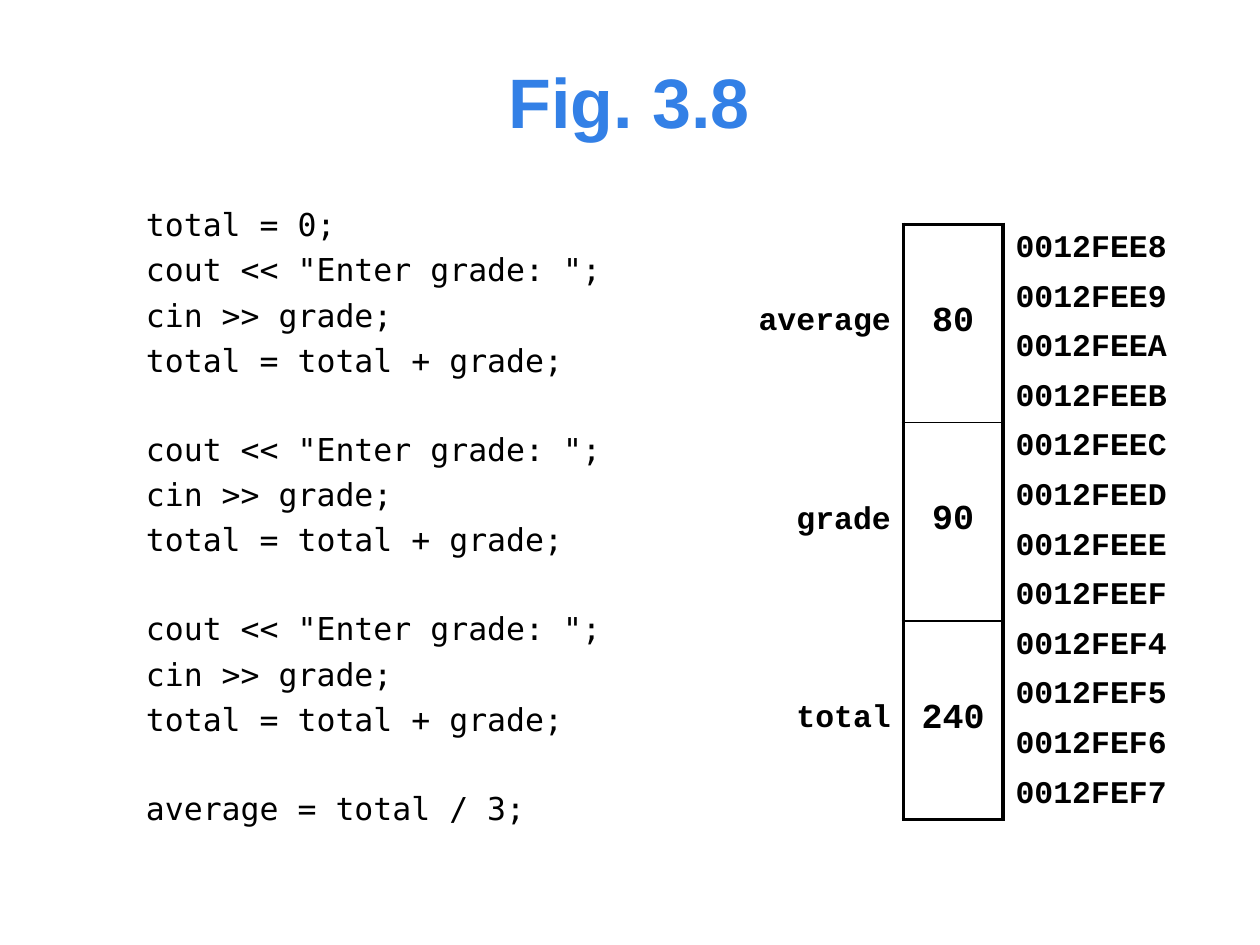
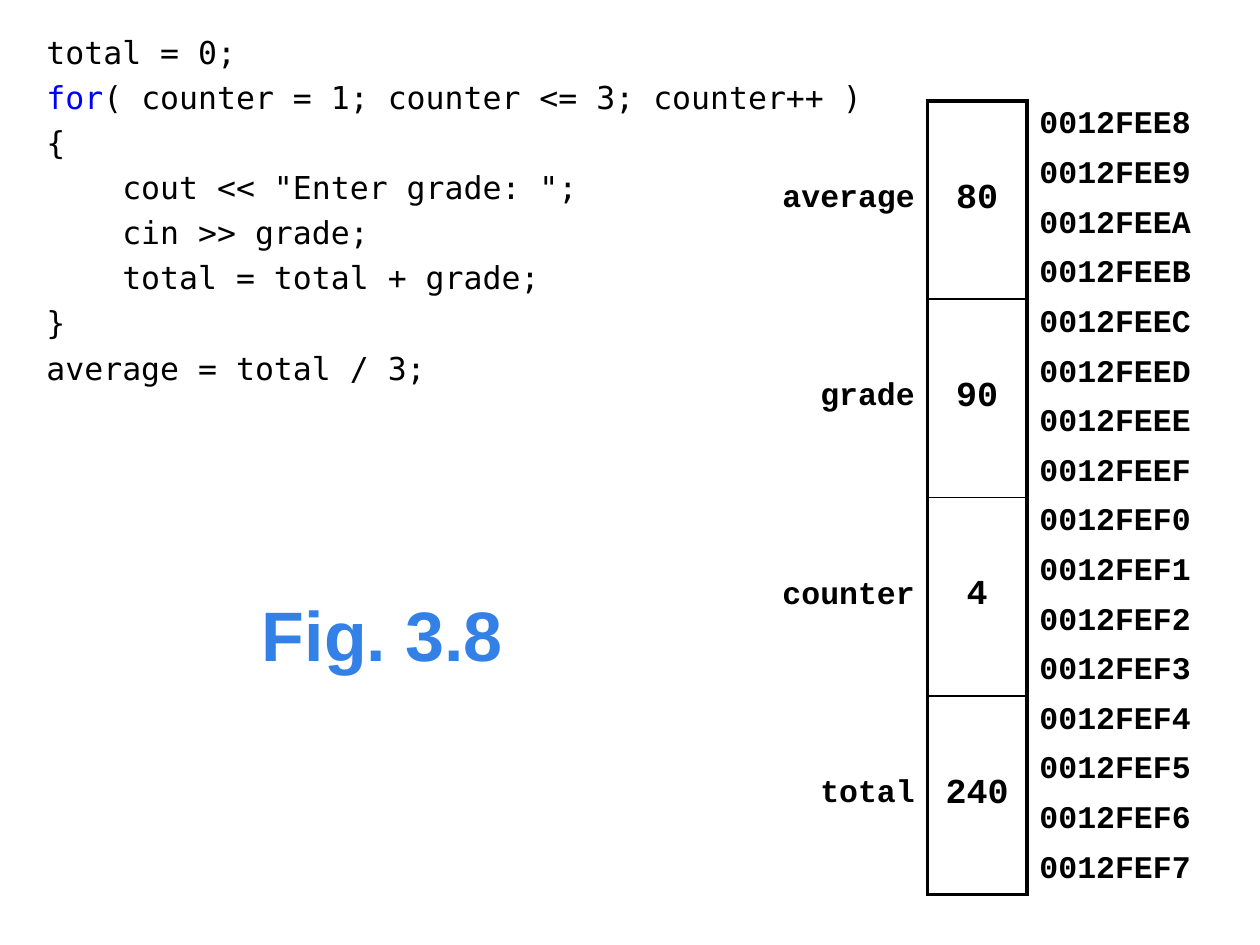
from lxml import etree
from pptx import Presentation
from pptx.dml.color import RGBColor
from pptx.enum.text import MSO_ANCHOR, PP_ALIGN
from pptx.oxml.ns import qn
from pptx.util import Inches, Pt

LEFT, CENTER, RIGHT = PP_ALIGN.LEFT, PP_ALIGN.CENTER, PP_ALIGN.RIGHT
MIDDLE = MSO_ANCHOR.MIDDLE

TITLE_BLUE = RGBColor(0x33, 0x80, 0xE6)
KEYWORD_BLUE = RGBColor(0x00, 0x00, 0xFF)
BLACK = RGBColor(0x00, 0x00, 0x00)

TITLE_FONT, CODE_FONT, MEMORY_FONT = "Arial", "DejaVu Sans Mono", "Courier New"
THICK, THIN, NONE = 2.25, 1, 0
BYTES_PER_VARIABLE = 4
ROW_HEIGHT = Inches(6.3) // 16
COLUMN_WIDTHS = (1.38, 0.79, 1.57)
LINE_GAP, GROUP_GAP = 4.2, 29.4

AVERAGE = ("average", 80, 0x0012FEE8)
GRADE = ("grade", 90, 0x0012FEEC)
COUNTER = ("counter", 4, 0x0012FEF0)
TOTAL = ("total", 240, 0x0012FEF4)

READ_GRADE = ['cout << "Enter grade: ";', "cin >> grade;", "total = total + grade;"]

SLIDES = [
    {
        "title_box": (0.27, 0.21, 9.45, 1.18),
        "code_box": (1.06, 1.58, 3.94, 5.12),
        "code_groups": [["total = 0;"] + READ_GRADE, READ_GRADE, READ_GRADE,
                        ["average = total / 3;"]],
        "memory_corner": (5.79, 1.78),
        "variables": [AVERAGE, GRADE, TOTAL],
    },
    {
        "title_box": (1.46, 4.54, 3.15, 0.98),
        "code_box": (0.27, 0.21, 6.69, 2.95),
        "code_groups": [["total = 0;", "for( counter = 1; counter <= 3; counter++ )", "{"]
                        + ["    " + line for line in READ_GRADE]
                        + ["}", "average = total / 3;"]],
        "memory_corner": (5.98, 0.8),
        "variables": [AVERAGE, GRADE, COUNTER, TOTAL],
    },
]


def write_text(frame, groups, font, size, color=BLACK, bold=False, align=LEFT, keyword="for("):
    """Write groups of lines, one paragraph a line, with a wider gap between groups."""
    frame.word_wrap = True
    paragraph = None
    for group in groups:
        for number, line in enumerate(group):
            if paragraph is None:
                paragraph = frame.paragraphs[0]
            else:
                paragraph = frame.add_paragraph()
                paragraph.space_before = Pt(LINE_GAP if number else GROUP_GAP)
            paragraph.alignment = align
            parts = [(line, color)]
            if line.startswith(keyword):
                parts = [(line[:3], KEYWORD_BLUE), (line[3:], color)]
            for text, part_color in parts:
                run = paragraph.add_run()
                run.text = text
                run.font.name = font
                run.font.size = Pt(size)
                run.font.bold = bold
                run.font.color.rgb = part_color


def format_cell(cell, margins, borders):
    """Set margins (sides, top, bottom) and border widths (left, right, top, bottom)."""
    side, top, bottom = margins
    cell.margin_left = cell.margin_right = Inches(side)
    cell.margin_top, cell.margin_bottom = Inches(top), Inches(bottom)
    cell.vertical_anchor = MIDDLE
    properties = cell._tc.get_or_add_tcPr()
    for tag, width in zip(("a:lnL", "a:lnR", "a:lnT", "a:lnB"), borders):
        line = etree.SubElement(properties, qn(tag), w=str(Pt(width)))
        if width:
            fill = etree.SubElement(line, qn("a:solidFill"))
            etree.SubElement(fill, qn("a:srgbClr"), val=str(BLACK))
        else:
            etree.SubElement(line, qn("a:noFill"))
    cell.fill.background()


presentation = Presentation()
presentation.slide_width, presentation.slide_height = Inches(10), Inches(7.5)

for content in SLIDES:
    slide = presentation.slides.add_slide(presentation.slide_layouts[6])

    title = slide.shapes.add_textbox(*map(Inches, content["title_box"])).text_frame
    title.vertical_anchor = MIDDLE
    write_text(title, [["Fig. 3.8"]], TITLE_FONT, 40, TITLE_BLUE, bold=True, align=CENTER)

    code = slide.shapes.add_textbox(*map(Inches, content["code_box"])).text_frame
    write_text(code, content["code_groups"], CODE_FONT, 18)

    variables = content["variables"]
    row_count = len(variables) * BYTES_PER_VARIABLE
    left, top = map(Inches, content["memory_corner"])
    memory = slide.shapes.add_table(row_count, 3, left, top, Inches(sum(COLUMN_WIDTHS)),
                                    ROW_HEIGHT * row_count).table
    memory.first_row = memory.horz_banding = False
    for column, width in zip(memory.columns, COLUMN_WIDTHS):
        column.width = Inches(width)
    for row in memory.rows:
        row.height = ROW_HEIGHT

    for index, (name, value, address) in enumerate(variables):
        first = index * BYTES_PER_VARIABLE
        last = first + BYTES_PER_VARIABLE - 1
        upper = THIN if index else THICK
        lower = THICK if index == len(variables) - 1 else THIN
        for offset in range(BYTES_PER_VARIABLE):
            row = first + offset
            box_top = upper if row == first else NONE
            box_bottom = lower if row in (first, last) else NONE
            format_cell(memory.cell(row, 0), (0.1, 0, 0.02), (NONE, THICK, NONE, NONE))
            format_cell(memory.cell(row, 1), (0.08, 0, 0.02),
                        (THICK, THICK, box_top, box_bottom))
            address_cell = memory.cell(row, 2)
            format_cell(address_cell, (0.1, 0.04, 0.04), (THICK, NONE, NONE, NONE))
            write_text(address_cell.text_frame, [[f"{address + offset:08X}"]],
                       MEMORY_FONT, 18, bold=True)
        for column, text, size, align in ((0, name, 18, RIGHT), (1, str(value), 20, CENTER)):
            cell = memory.cell(first, column)
            cell.merge(memory.cell(last, column))
            write_text(cell.text_frame, [[text]], MEMORY_FONT, size, bold=True, align=align)

presentation.save("out.pptx")
